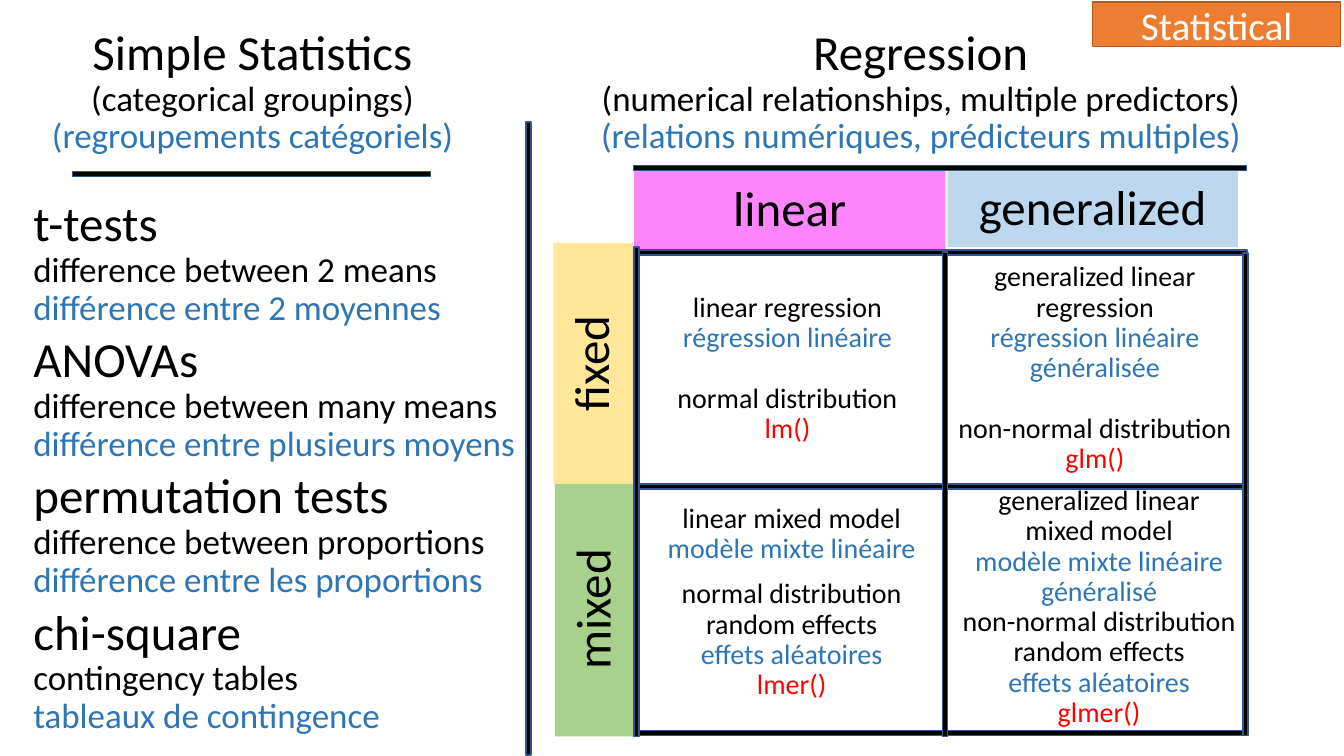
from pptx import Presentation
from pptx.dml.color import RGBColor
from pptx.enum import shapes, text
from pptx.oxml import parse_xml
from pptx.oxml.ns import nsdecls
from pptx.util import Pt

# Content: each line is (words, style, space before)
SIMPLE = [
    ("Simple Statistics", "head", 0),
    ("(categorical groupings)", "note", 0),
    ("(regroupements catégoriels)", "french", 0),
]
REGRESS = [
    ("Regression", "head", 0),
    ("(numerical relationships, multiple predictors)", "note", 0),
    ("(relations numériques, prédicteurs multiples)", "french", 0),
]
TESTS = [
    ("t-tests", "difference between 2 means", "différence entre 2 moyennes"),
    ("ANOVAs", "difference between many means", "différence entre plusieurs moyens"),
    ("permutation tests", "difference between proportions", "différence entre les proportions"),
    ("chi-square", "contingency tables", "tableaux de contingence"),
]
TAG = [("Statistical", "tag", 0)]
# Models: (column, row, shift right, shift down, lines)
MODELS = [
    (0, 0, 0, 0, [
        ("linear regression", "cell", 0),
        ("régression linéaire", "cell_fr", 0),
        ("normal distribution", "cell", 22),
        ("lm()", "code", 0)]),
    (1, 0, 0, 0, [
        ("generalized linear regression", "cell", 0),
        ("régression linéaire généralisée", "cell_fr", 0),
        ("non-normal distribution", "cell", 22),
        ("glm()", "code", 0)]),
    (0, 1, 3, 0, [
        ("linear mixed model", "cell", 0),
        ("modèle mixte linéaire", "cell_fr", 0),
        ("normal distribution", "cell", 11),
        ("random effects", "cell", 0),
        ("effets aléatoires", "cell_fr", 0),
        ("lmer()", "code", 0)]),
    (1, 1, 3, 3.6, [
        ("generalized linear\vmixed model", "cell", 0),
        ("modèle mixte linéaire généralisé", "cell_fr", 0),
        ("non-normal distribution", "cell", 0),
        ("random effects", "cell", 0),
        ("effets aléatoires", "cell_fr", 0),
        ("glmer()", "code", 0)]),
]
# Labels: (word, colour, box, turn)
LABELS = [
    ("linear", "pink", (452.9, 121.7, 222.5, 56.9), 0),
    ("generalized", "sky", (676.8, 122.4, 207.4, 54), 0),
    ("mixed", "green", (334.1, 406.8, 181.4, 56.9), 270),
    ("fixed", "yellow", (337.7, 231.1, 172.1, 56.9), 270),
]

# Look
HUE = {"black": "000000", "blue": "2E75B6", "red": "FF0000", "white": "FFFFFF",
       "edge": "325491", "pink": "FF85FF", "sky": "BDD7EE", "green": "A9D18E",
       "yellow": "FFE699", "orange": "ED7D31", "rust": "AF5C24"}
STYLE = {"head": (35, "black"), "note": (25, "black"), "french": (25, "blue"),
         "cell": (20, "black"), "cell_fr": (20, "blue"), "code": (20, "red"),
         "tag": (28, "white")}
MID, TOP = text.MSO_ANCHOR.MIDDLE, text.MSO_ANCHOR.TOP
LEFT, MIDST = text.PP_ALIGN.LEFT, text.PP_ALIGN.CENTER

# Grid: bars as (left, top, length)
BAR = 3.6
ACROSS = [(51.8, 122.4, 255.6), (452.5, 118.4, 437.8),
          (456.5, 178.6, 434.2), (456.5, 345.6, 434.2), (456.5, 522, 434.2)]
DOWN = [(375.8, 87.1, 452.2), (452.9, 176.4, 349.9),
        (673.2, 180, 346.3), (887.8, 180.7, 344.9)]
COLS, ROWS = (456.5, 676.1), (211.2, 378)
CELL = (212, 104.4)


def tint(name):
    return RGBColor.from_string(HUE[name])


def place(shape, box):
    shape.left, shape.top, shape.width, shape.height = map(Pt, box)


def write(shape, lines, align=MIDST, anchor=MID):
    frame = shape.text_frame
    frame.word_wrap = True
    frame.auto_size = text.MSO_AUTO_SIZE.NONE
    frame.vertical_anchor = anchor
    for i, (words, style, gap) in enumerate(lines):
        para = frame.add_paragraph() if i else frame.paragraphs[0]
        props = para._p.get_or_add_pPr()
        props.set("marL", "0")
        props.set("indent", "0")
        props.append(parse_xml(f"<a:buNone {nsdecls('a')}/>"))
        para.alignment = align
        para.line_spacing = 0.9
        para.space_before, para.space_after = Pt(gap), Pt(0)
        for j, part in enumerate(words.split("\v")):
            if j:
                para.add_line_break()
            run = para.add_run()
            run.text = part
            size, hue = STYLE[style]
            run.font.name, run.font.size = "Calibri", Pt(size)
            run.font.color.rgb = tint(hue)


def block(slide, box, fill, edge=None):
    shape = slide.shapes.add_shape(shapes.MSO_SHAPE.RECTANGLE, *map(Pt, box))
    shape.shadow.inherit = False
    paint(shape, fill, edge)
    return shape


def paint(shape, fill, edge=None):
    shape.fill.solid()
    shape.fill.fore_color.rgb = tint(fill)
    if edge:
        shape.line.color.rgb = tint(edge)
        shape.line.width = Pt(1)
    else:
        shape.line.fill.background()


def note(slide, box, lines):
    write(slide.shapes.add_textbox(*map(Pt, box)), lines)


def main():
    deck = Presentation()
    deck.slide_width, deck.slide_height = Pt(960), Pt(540)
    slide = deck.slides.add_slide(deck.slide_layouts[3])
    title, tests, tag = slide.placeholders

    # Headings
    place(title, (22.3, 13.7, 316.1, 104.4))
    write(title, SIMPLE)
    note(slide, (385.2, 13.7, 545, 104.4), REGRESS)

    # Coloured labels, then bars over them
    for word, fill, box, turn in LABELS:
        label = block(slide, box, fill)
        label.rotation = turn
        write(label, [(word, "head", 0)])
    for x, y, size in ACROSS:
        block(slide, (x, y, size, BAR), "black", "edge")
    for x, y, size in DOWN:
        block(slide, (x, y, BAR, size), "black", "edge")

    # Models in the grid
    for col, row, dx, dy, lines in MODELS:
        note(slide, (COLS[col] + dx, ROWS[row] + dy, *CELL), lines)

    # List of simple tests
    lines = []
    for name, english, french in TESTS:
        lines += [(name, "head", 5.5 if lines else 0),
                  (english, "note", 0), (french, "french", 0)]
    place(tests, (16.6, 259.2, 372.2, 149.8))
    write(tests, lines, LEFT)

    # Corner tag
    place(tag, (780.5, 1.4, 177.1, 31.7))
    paint(tag, "orange", "rust")
    write(tag, TAG, anchor=TOP)

    deck.save("out.pptx")


if __name__ == "__main__":
    main()
